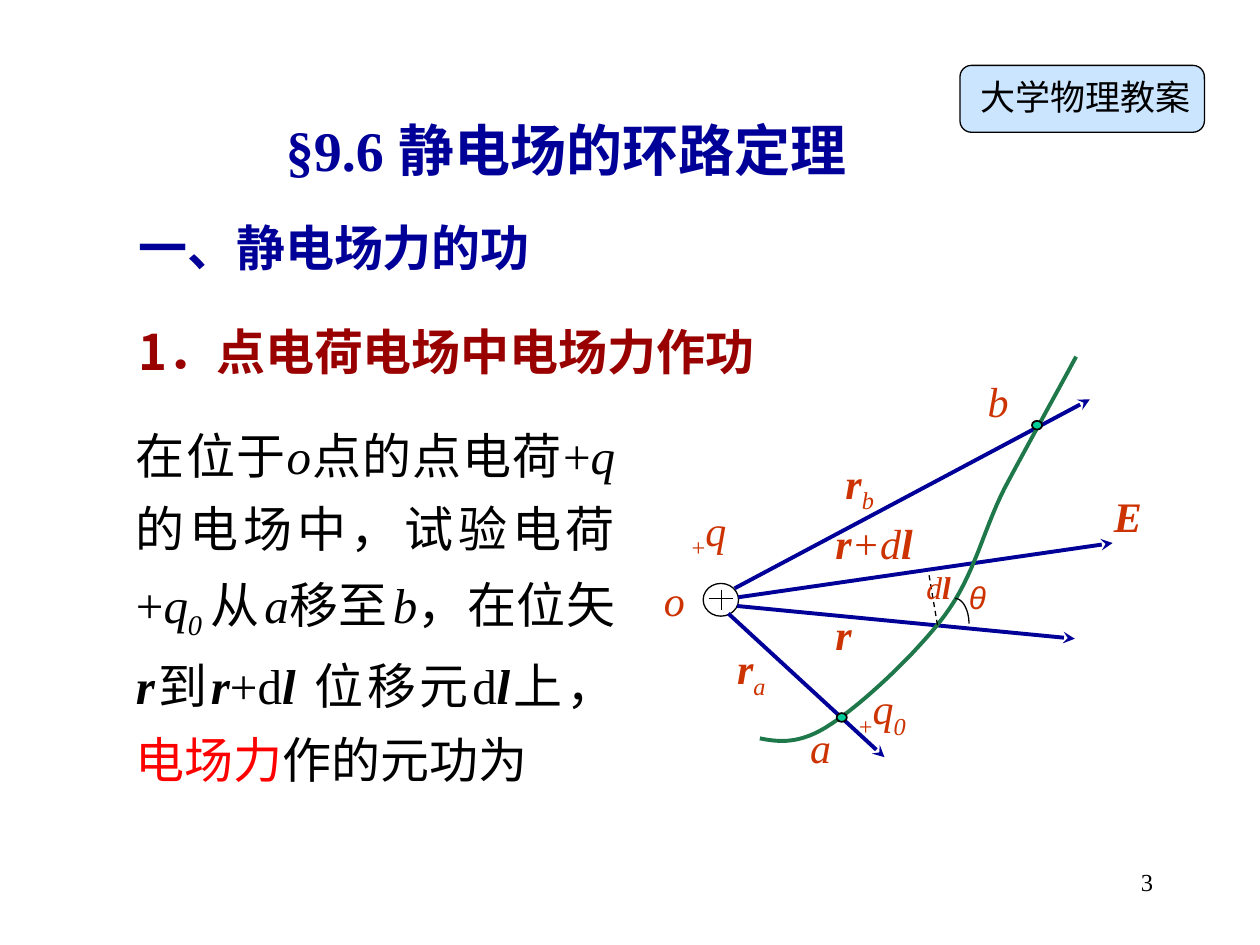
import pptx
import pptx.dml.color
import pptx.enum.dml
import pptx.enum.shapes
import pptx.enum.text
import pptx.oxml
import pptx.oxml.ns
import pptx.util
from lxml import etree

Pt = pptx.util.Pt
RGB = pptx.dml.color.RGBColor
Align = pptx.enum.text.PP_ALIGN
Shape = pptx.enum.shapes.MSO_SHAPE
qn = pptx.oxml.ns.qn

BLACK = RGB(0x00, 0x00, 0x00)
WHITE = RGB(0xFF, 0xFF, 0xFF)
NAVY = RGB(0x00, 0x00, 0x99)
MAROON = RGB(0x99, 0x00, 0x00)
RUST = RGB(0xCC, 0x33, 0x00)
RED = RGB(0xFF, 0x00, 0x00)
GREEN = RGB(0x1E, 0x78, 0x49)
TEAL = RGB(0x00, 0xCC, 0x99)
SKY = RGB(0x99, 0xCC, 0xFF)

SERIF = "Times New Roman"
HAN = "Noto Sans CJK SC"
WIDE = (7.2, 3.6)
TIGHT = (1.44, 0.72)


def bend(start, curves, steps=16):
    """Return points along a chain of cubic Bezier curves."""
    points = [start]
    for one, two, end in curves:
        for step in range(1, steps + 1):
            t = step / steps
            u = 1 - t
            points.append(tuple(
                u**3 * p + 3 * u * u * t * q + 3 * u * t * t * r + t**3 * s
                for p, q, r, s in zip(start, one, two, end)))
        start = end
    return points


class Board:
    def __init__(self, slide):
        self.slide = slide
        self.shapes = slide.shapes

    def title(self, box, parts, **style):
        holder = self.shapes.title
        holder.left, holder.top, holder.width, holder.height = map(Pt, box)
        self.letter(holder, parts, **style)

    def text(self, box, parts, **style):
        self.letter(self.shapes.add_textbox(*map(Pt, box)), parts, **style)

    def letter(self, shape, parts, size=24, color=BLACK, font=SERIF, bold=False,
               align=Align.LEFT, inset=WIDE, space=None):
        """Fill a box with plain text or (text, marks) parts.

        Marks: b bold, i italic, s subscript, r red, t tiny.
        """
        frame = shape.text_frame
        frame.word_wrap = True
        frame.auto_size = pptx.enum.text.MSO_AUTO_SIZE.NONE
        frame.vertical_anchor = pptx.enum.text.MSO_ANCHOR.TOP
        frame.margin_left = frame.margin_right = Pt(inset[0])
        frame.margin_top = frame.margin_bottom = Pt(inset[1])
        para = frame.paragraphs[0]
        para.alignment = align
        para.line_spacing = space
        if isinstance(parts, str):
            parts = [(parts, "")]
        for words, marks in parts:
            run = para.add_run()
            run.text = words
            run.font.name = font
            run.font.size = Pt(10 if "t" in marks else size)
            run.font.bold = bold or "b" in marks
            run.font.italic = "i" in marks
            run.font.color.rgb = RED if "r" in marks else color
            props = run._r.get_or_add_rPr()
            props.find(qn("a:latin")).addnext(
                props.makeelement(qn("a:ea"), {"typeface": HAN}))
            if "s" in marks:
                props.set("baseline", "-25000")

    def label(self, box, parts, **style):
        self.text(box, parts, color=RUST, **{"inset": TIGHT, **style})

    def shape(self, kind, box, fill, width=0.75, alpha=None):
        item = self.shapes.add_shape(kind, *map(Pt, box))
        item.shadow.inherit = False
        item.fill.solid()
        item.fill.fore_color.rgb = fill
        if alpha:
            tint = item.element.spPr.find(qn("a:solidFill"))[0]
            etree.SubElement(tint, qn("a:alpha"), val=str(alpha * 1000))
        item.line.color.rgb = BLACK
        item.line.width = Pt(width)
        return item

    def line(self, start, end, color=BLACK, width=0.75, dash=False, arrow=False):
        item = self.shapes.add_connector(
            pptx.enum.shapes.MSO_CONNECTOR.STRAIGHT, *map(Pt, start + end))
        item.line.color.rgb = color
        item.line.width = Pt(width)
        if dash:
            item.line.dash_style = pptx.enum.dml.MSO_LINE.DASH
        props = item.element.spPr
        if arrow:
            etree.SubElement(props.find(qn("a:ln")), qn("a:tailEnd"), type="stealth")
        etree.SubElement(props, qn("a:effectLst"))

    def curve(self, start, curves, color=BLACK, width=0.75):
        points = [(Pt(x), Pt(y)) for x, y in bend(start, curves)]
        pen = self.shapes.build_freeform(*points[0])
        pen.add_line_segments(points[1:], close=False)
        item = pen.convert_to_shape()
        item.shadow.inherit = False
        item.fill.background()
        item.line.color.rgb = color
        item.line.width = Pt(width)


def draw_field(board):
    """Draw the point charge, its field lines and the path from a to b."""
    board.shape(Shape.OVAL, (401.8, 333.4, 20.2, 18.7), WHITE)
    board.line((405.4, 342), (419, 342))
    board.line((412.2, 337), (412.2, 348.5))
    rays = [((419.8, 336.2), (622.8, 228.2)), ((416.2, 350.6), (505.4, 432.7)),
            ((421.2, 346.3), (614.2, 365)), ((421.9, 341.3), (635.8, 310.3))]
    for start, end in rays:
        board.line(start, end, NAVY, 2.25, arrow=True)
    board.curve((434.2, 421.9), [
        ((445, 424.1), (457.2, 425.5), (474.5, 414)),
        ((492.5, 402.5), (523.4, 373.7), (540, 351.4)),
        ((556.6, 329), (561.6, 303.8), (573.8, 279.4)),
        ((586.8, 254.9), (607.7, 217.4), (614.9, 203.8))], GREEN, 2.25)
    board.line((535.7, 357.1), (530.6, 326.9), dash=True)
    board.curve((545.8, 342), [((550, 342), (553.7, 348.5), (553.7, 356.4))])

    labels = [
        ((378, 327.6, 31.7, 34.6), [("o", "i")]),
        ((393.8, 287.3, 43.2, 35.3), [("+", "s"), ("q", "i")]),
        ((419.8, 366.5, 40.3, 51.8), [("r", "bi"), ("a", "is")]),
        ((481.7, 260.6, 28, 36.7), [("r", "bi"), ("b", "is")]),
        ((475.9, 295.2, 87.8, 35.3), [("r", "bi"), ("+d", "i"), ("l", "bi")]),
        ((475.9, 347, 28.8, 31.7), [("r", "bi")]),
        ((461.5, 411.8, 28.8, 32.4), [("a", "i")]),
        ((563, 213.8, 28.8, 32.4), [("b", "i")]),
        ((635, 279.4, 39.6, 38.2), [("E", "bi")]),
    ]
    for box, parts in labels:
        board.label(box, parts)
    board.label((527.9, 324, 30.1, 35.3), [("d", "i"), ("l", "bi")], size=18)
    board.label((552.2, 329.8, 36.7, 32.4), [("θ", "i")], size=18, font="Arial")
    for left, top in [(478.1, 407.5), (589.7, 240.5)]:
        board.shape(Shape.OVAL, (left, top, 5.8, 5), TEAL, 1)
    board.label((483.8, 386.6, 64.8, 87.8),
                [("+", "s"), ("q", "i"), ("0", "is")], inset=WIDE)


def main():
    deck = pptx.Presentation()
    deck.slide_width, deck.slide_height = Pt(720), Pt(540)
    board = Board(deck.slides.add_slide(deck.slide_layouts[5]))

    board.title((156.2, 62.6, 378, 46), "§9.6 静电场的环路定理",
                size=32, color=NAVY, bold=True)
    board.text((72, 121, 330, 41), "一、静电场力的功",
               size=28, color=NAVY, bold=True)
    board.text((72, 180, 504, 42), "1．点电荷电场中电场力作功",
               size=28, color=MAROON, font=HAN, bold=True)
    board.text((70.6, 231, 288, 324.7), [
        ("在位于", ""), ("o", "i"), ("点的点电荷+", ""), ("q", "i"),
        ("的电场中，试验电荷+", ""), ("q", "i"), ("0 ", "is"), ("从", ""),
        (" ", "t"), ("a", "i"), ("移至", ""), (" ", "t"), ("b", "i"),
        ("，在位矢", ""), ("r", "bi"), ("到", ""), ("r", "bi"), ("+d", ""),
        ("l ", "bi"), ("位移元d", ""), ("l", "bi"), ("上，", ""),
        ("电场力", "r"), ("作的元功为", "")],
        size=28, align=Align.JUSTIFY, space=1.25)
    draw_field(board)

    badge = board.shape(Shape.ROUNDED_RECTANGLE, (548.6, 37.4, 139.7, 38.2),
                        SKY, alpha=50)
    badge.adjustments[0] = 0.17
    board.text((560.2, 43.2, 139.7, 28), "大学物理教案", size=20, inset=(0, 0))
    board.text((516.2, 491.8, 149.8, 36), "3", size=14, align=Align.RIGHT)
    deck.save("out.pptx")


if __name__ == "__main__":
    main()
